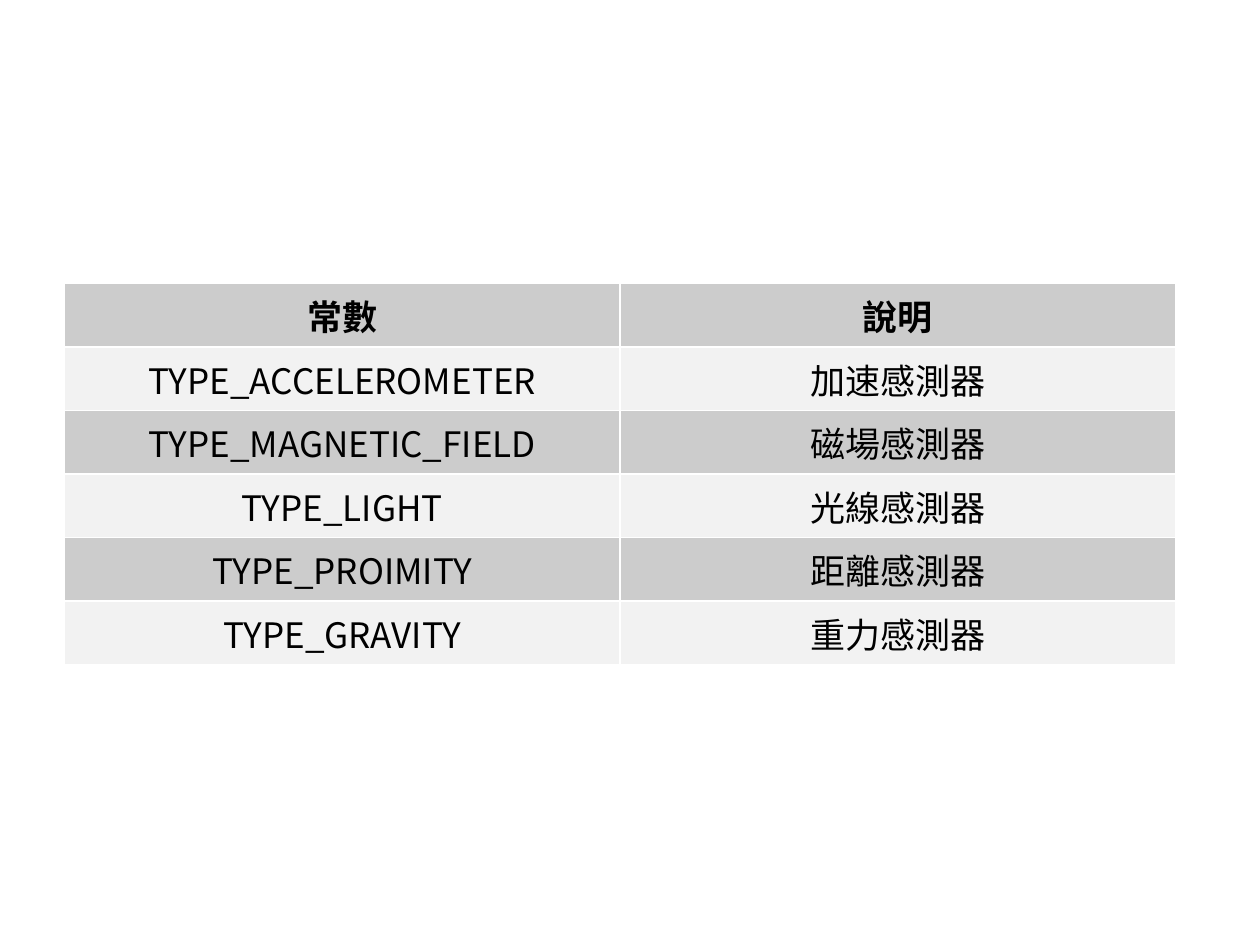
from lxml import etree
from pptx import Presentation
from pptx.dml.color import RGBColor
from pptx.enum.text import PP_ALIGN
from pptx.oxml.ns import qn
from pptx.util import Cm, Pt

CENTER = PP_ALIGN.CENTER
FONT = "Noto Sans CJK SC"
COLORS = {"text": "000000", "dark": "CCCCCC", "light": "F2F2F2", "border": "FFFFFF"}
BORDER_WIDTH = Pt(0.96)
SENSORS = [
    ("常數", "說明"),
    ("TYPE_ACCELEROMETER", "加速感測器"),
    ("TYPE_MAGNETIC_FIELD", "磁場感測器"),
    ("TYPE_LIGHT", "光線感測器"),
    ("TYPE_PROIMITY", "距離感測器"),
    ("TYPE_GRAVITY", "重力感測器"),
]


def add_borders(cell):
    """Draw a thin line on all four sides of a cell."""
    properties = cell._tc.get_or_add_tcPr()
    for side in ("lnL", "lnR", "lnT", "lnB"):
        line = etree.SubElement(properties, qn(f"a:{side}"), w=str(BORDER_WIDTH))
        fill = etree.SubElement(line, qn("a:solidFill"))
        etree.SubElement(fill, qn("a:srgbClr"), val=COLORS["border"])


def fill_cell(cell, text, color, bold):
    """Write centred text in a cell with a plain fill."""
    add_borders(cell)
    cell.fill.solid()
    cell.fill.fore_color.rgb = RGBColor.from_string(color)
    cell.text = text
    para = cell.text_frame.paragraphs[0]
    para.alignment = CENTER
    font = para.font
    font.name = FONT
    font.size = Pt(20)
    font.bold = bold
    font.color.rgb = RGBColor.from_string(COLORS["text"])
    etree.SubElement(font._element, qn("a:ea"), typeface=FONT)


def add_sensor_table(page, left, top, width, height):
    """Place the sensor table with evenly sized rows in the given box."""
    row_count, column_count = len(SENSORS), len(SENSORS[0])
    table = page.shapes.add_table(
        row_count, column_count, left, top, width, height
    ).table
    for row_index, texts in enumerate(SENSORS):
        color = COLORS["light" if row_index % 2 else "dark"]
        for column_index, text in enumerate(texts):
            cell = table.cell(row_index, column_index)
            fill_cell(cell, text, color, bold=row_index == 0)


def main():
    """Build the deck and save it."""
    deck = Presentation()
    deck.slide_width, deck.slide_height = Cm(25.4), Cm(19.05)
    page = deck.slides.add_slide(deck.slide_layouts[6])
    add_sensor_table(page, Cm(1.3), Cm(5.72), Cm(22.4), Cm(7.68))
    deck.save("out.pptx")


if __name__ == "__main__":
    main()
